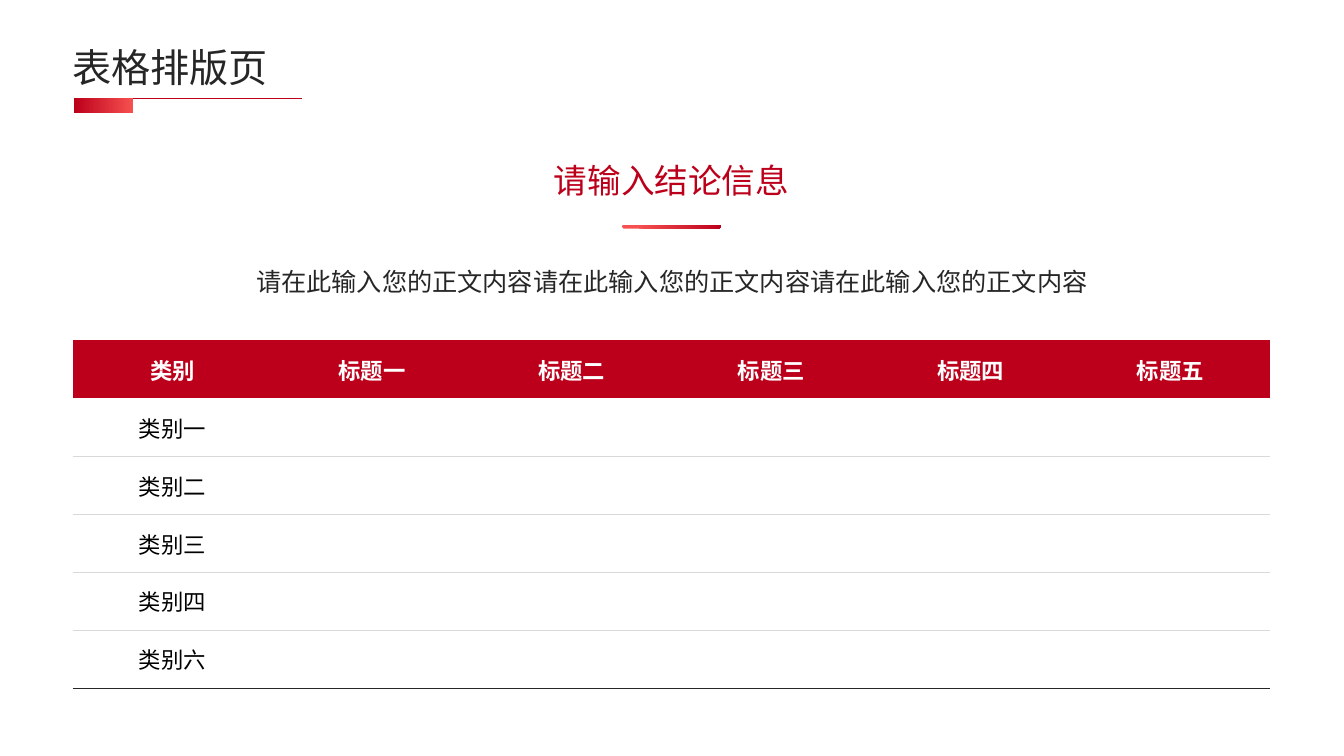
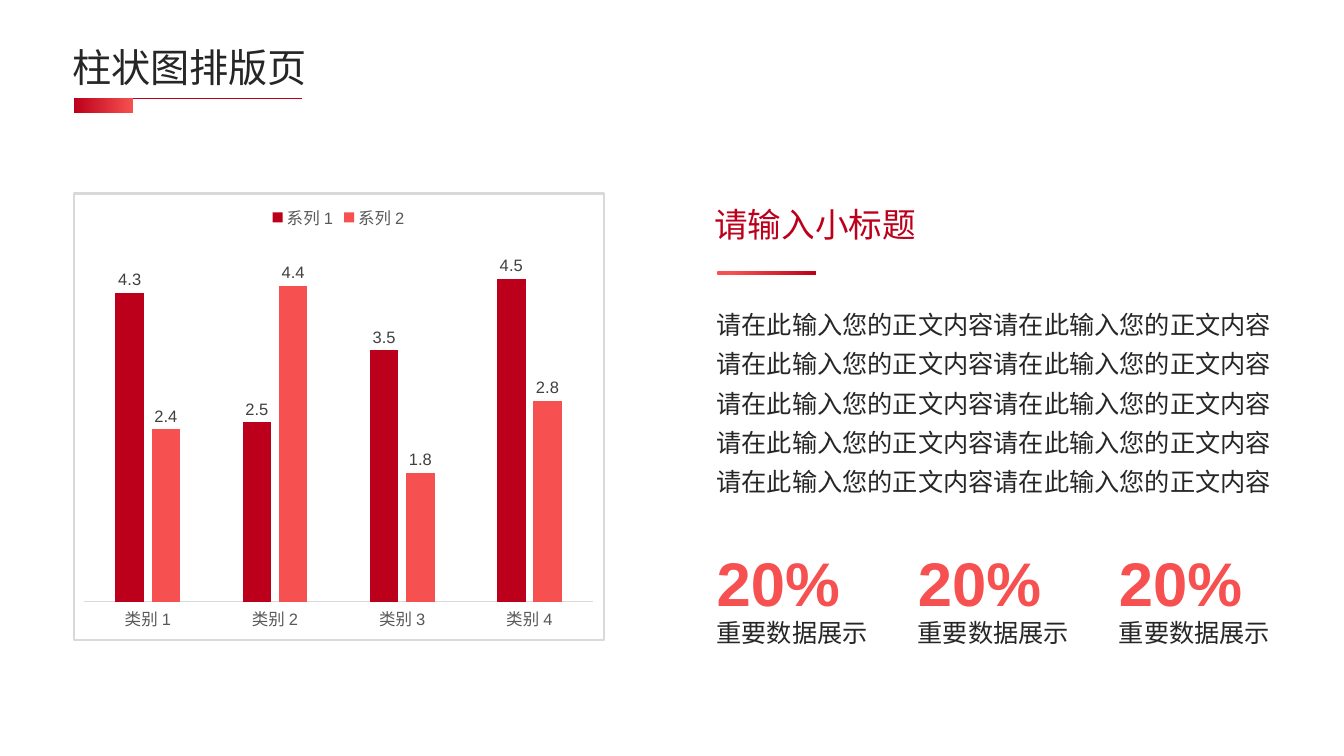
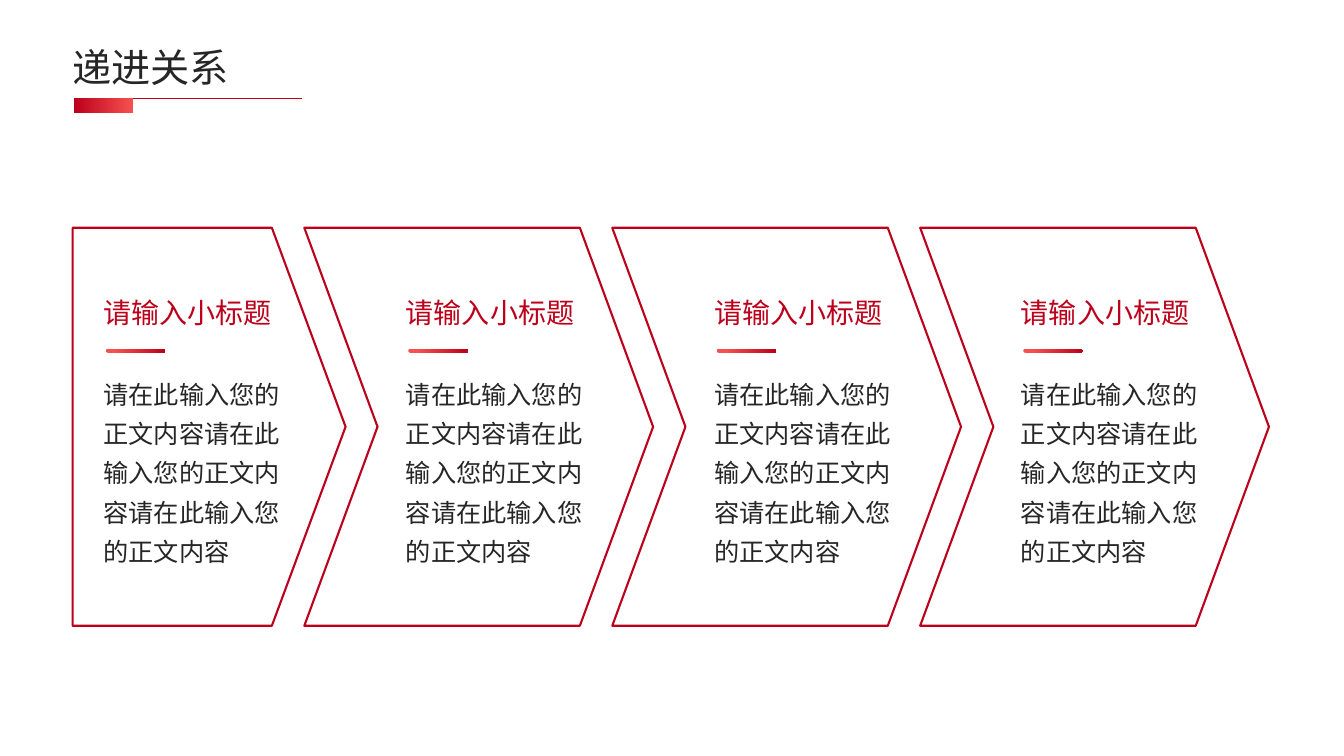
"""Builds three slides: a table, a column chart and a chain of steps."""
from lxml import etree
from pptx import Presentation
from pptx import util as u
from pptx.chart import data as chart_data
from pptx.dml import color
from pptx.enum import chart as charts, shapes, text
from pptx.oxml import ns, parse_xml

CRIMSON, CORAL = "BC001B", "F65050"
INK, WHITE, BLACK = "262626", "FFFFFF", "000000"
SILVER, GREY, DARK_GREY = "D9D9D9", "595959", "404040"
LATIN, CJK = "Arial", "Noto Sans CJK SC"
LEFT = 1.83
SENTENCE = "请在此输入您的正文内容"
SUBTITLE = "请输入小标题"


def rgb(value):
    """Return a colour from its hex string."""
    return color.RGBColor.from_string(value)


def cm(*lengths):
    """Turn numbers of centimetres into lengths."""
    return [u.Cm(length) for length in lengths]


def style_font(font, size, colour, name=LATIN, bold=False):
    """Set the size, colour, typeface and weight of a font."""
    font.size, font.name, font.bold = u.Pt(size), name, bold
    font.color.rgb = rgb(colour)


def write(frame, *lines, size=18, colour=INK, name=LATIN, bold=False,
          align=text.PP_ALIGN.LEFT, spacing=1.3, anchor=text.MSO_ANCHOR.TOP):
    """Fill a text frame with one paragraph per line."""
    frame.word_wrap = True
    frame.vertical_anchor = anchor
    for number, line in enumerate(lines):
        paragraph = frame.add_paragraph() if number else frame.paragraphs[0]
        paragraph.alignment, paragraph.line_spacing = align, spacing
        run = paragraph.add_run()
        run.text = line
        style_font(run.font, size, colour, name, bold)
        east_asian = etree.SubElement(run.font._element, ns.qn("a:ea"))
        east_asian.set("typeface", CJK)


def add_text(slide, box, *lines, **style):
    """Add a text box at left, top, width, height."""
    write(slide.shapes.add_textbox(*cm(*box)).text_frame, *lines, **style)


def add_outline(slide, kind, box, adjustment):
    """Add an unfilled preset shape with a crimson outline."""
    outline = slide.shapes.add_shape(kind, *cm(*box))
    outline.shadow.inherit = False
    outline.adjustments[0] = adjustment
    outline.fill.background()
    outline.line.color.rgb = rgb(CRIMSON)
    outline.line.width = u.Pt(1.5)


def add_gradient_bar(slide, kind, box, stops):
    """Add a borderless bar shaded from left to right."""
    bar = slide.shapes.add_shape(kind, *cm(*box))
    bar.shadow.inherit = False
    bar.line.fill.background()
    bar.fill.gradient()
    bar.fill.gradient_angle = 0
    for stop, (position, colour) in zip(bar.fill.gradient_stops, stops):
        stop.position, stop.color.rgb = position, rgb(colour)
    return bar


def add_accent(slide, left, top, width):
    """Add the thin rounded rule used under headings."""
    accent = add_gradient_bar(slide, shapes.MSO_SHAPE.ROUNDED_RECTANGLE,
                              (left, top, width, 0.1), [(0.15, CORAL), (1, CRIMSON)])
    accent.adjustments[0] = 0.5


def add_titled_slide(deck, title):
    """Add a blank slide with the shared title and underline."""
    slide = deck.slides.add_slide(deck.slide_layouts[6])
    underline = slide.shapes.add_connector(
        shapes.MSO_CONNECTOR.STRAIGHT, *cm(1.9, 2.47, 7.62, 2.47))
    underline.line.color.rgb = rgb(CRIMSON)
    underline.line.width = u.Pt(0.5)
    etree.SubElement(underline._element.spPr, ns.qn("a:effectLst"))
    add_gradient_bar(slide, shapes.MSO_SHAPE.RECTANGLE, (1.86, 2.47, 1.5, 0.38),
                     [(0, CRIMSON), (1, CORAL)])
    add_text(slide, (1.57, 0.89, 22.58, 1.75), title, size=28, name=CJK,
             spacing=0.9, anchor=text.MSO_ANCHOR.MIDDLE)
    return slide


def set_bottom_border(cell, colour):
    """Draw a one point line under a table cell."""
    cell._tc.get_or_add_tcPr().insert(0, parse_xml(
        f'<a:lnB {ns.nsdecls("a")} w="12700"><a:solidFill>'
        f'<a:srgbClr val="{colour}"/></a:solidFill></a:lnB>'))


def add_category_table(slide, headings, categories):
    """Add the table with a crimson header and ruled rows."""
    rows, columns = len(categories) + 1, len(headings)
    table = slide.shapes.add_table(
        rows, columns, *cm(LEFT, 8.58, 5.03 * columns, 1.46 * rows)).table
    table.first_row = table.horz_banding = False
    style_id = table._tbl.tblPr.find(ns.qn("a:tableStyleId"))
    style_id.text = "{2D5ABB26-0587-4C30-8999-92F81FD0307C}"
    contents = [headings] + [[category] for category in categories]
    for row, words in enumerate(contents):
        for column in range(columns):
            cell = table.cell(row, column)
            cell.vertical_anchor = text.MSO_ANCHOR.MIDDLE
            if row:
                cell.fill.background()
                set_bottom_border(cell, INK if row == rows - 1 else SILVER)
            else:
                cell.fill.solid()
                cell.fill.fore_color.rgb = rgb(CRIMSON)
            if column < len(words):
                write(cell.text_frame, words[column], size=16, bold=row == 0,
                      colour=BLACK if row else WHITE, spacing=1,
                      align=text.PP_ALIGN.CENTER, anchor=text.MSO_ANCHOR.MIDDLE)


def add_column_chart(slide, categories, series_values):
    """Add the clustered column chart with labels and a frame."""
    figures = chart_data.CategoryChartData()
    figures.categories = categories
    for name, values in series_values.items():
        figures.add_series(name, values)
    chart = slide.shapes.add_chart(charts.XL_CHART_TYPE.COLUMN_CLUSTERED,
                                   *cm(LEFT, 4.85, 13.41, 11.3), figures).chart
    style_font(chart.font, 10, BLACK)
    chart.has_title = False
    chart.has_legend = True
    chart.legend.position = charts.XL_LEGEND_POSITION.TOP
    chart.legend.include_in_layout = False
    style_font(chart.legend.font, 11.9, GREY)

    plot = chart.plots[0]
    plot.gap_width, plot.overlap, plot.vary_by_categories = 219, -27, False
    for series, colour in zip(plot.series, (CRIMSON, CORAL)):
        series.format.fill.solid()
        series.format.fill.fore_color.rgb = rgb(colour)
        labels = series.data_labels
        labels.show_value = True
        labels.position = charts.XL_LABEL_POSITION.OUTSIDE_END
        style_font(labels.font, 11.9, DARK_GREY)

    category_axis, value_axis = chart.category_axis, chart.value_axis
    category_axis.major_tick_mark = charts.XL_TICK_MARK.NONE
    category_axis.format.line.color.rgb = rgb(SILVER)
    category_axis.format.line.width = u.Pt(0.75)
    style_font(category_axis.tick_labels.font, 11.9, GREY)
    value_axis.visible = value_axis.has_major_gridlines = False
    value_axis.minimum_scale, value_axis.maximum_scale = 0, 5

    chart._chartSpace.find(ns.qn("c:txPr")).addprevious(parse_xml(
        f'<c:spPr {ns.nsdecls("c", "a")}><a:noFill/><a:ln w="19050"><a:solidFill>'
        f'<a:srgbClr val="{SILVER}"/></a:solidFill></a:ln></c:spPr>'))


def build_table_slide(deck):
    """Build the slide with a conclusion above a table."""
    slide = add_titled_slide(deck, "表格排版页")
    add_category_table(slide, ["类别"] + [f"标题{n}" for n in "一二三四五"],
                       [f"类别{n}" for n in "一二三四六"])
    add_text(slide, (6.07, 6.35, 21.72, 1.17), SENTENCE * 3,
             align=text.PP_ALIGN.CENTER)
    add_text(slide, (12.95, 3.61, 7.95, 1.47), "请输入结论信息", size=24,
             colour=CRIMSON, name=CJK, align=text.PP_ALIGN.CENTER)
    add_accent(slide, 15.68, 5.66, 2.5)


def build_chart_slide(deck):
    """Build the slide with a chart beside text and key figures."""
    slide = add_titled_slide(deck, "柱状图排版页")
    add_column_chart(slide, [f"类别 {n}" for n in range(1, 5)],
                     {"系列 1": (4.3, 2.5, 3.5, 4.5), "系列 2": (2.4, 4.4, 1.8, 2.8)})
    add_text(slide, (17.81, 7.44, 14.54, 5.16), *[SENTENCE * 2] * 5)
    add_text(slide, (17.75, 4.72, 7.95, 1.47), SUBTITLE, size=24,
             colour=CRIMSON, name=CJK)
    add_accent(slide, 18.06, 6.83, 2.5)
    for number in range(3):
        left = 17.81 + 5.07 * number
        add_text(slide, (left, 13.06, 3.91, 2.46), "20%", size=44,
                 colour=CORAL, bold=True)
        add_text(slide, (left, 15.21, 4.39, 1.17), "重要数据展示")


def build_steps_slide(deck):
    """Build the slide with four steps that lead on to each other."""
    slide = add_titled_slide(deck, "递进关系")
    top, height = 5.74, 10.03
    add_outline(slide, shapes.MSO_SHAPE.PENTAGON, (LEFT, top, 6.88, height), 0.27)
    for number in range(3):
        add_outline(slide, shapes.MSO_SHAPE.CHEVRON,
                    (7.67 + 7.76 * number, top, 8.79, height), 0.21)
    for left in (2.36, 9.98, 17.75, 25.48):
        add_text(slide, (left, 9.2, 5.26, 5.16), SENTENCE * 3)
        add_text(slide, (left, 7.06, 5.21, 1.27), SUBTITLE, size=20,
                 colour=CRIMSON, name=CJK)
        add_accent(slide, left + 0.31, 8.79, 1.5)


def main():
    """Build and save the deck."""
    deck = Presentation()
    deck.slide_width, deck.slide_height = cm(33.87, 19.05)
    build_table_slide(deck)
    build_chart_slide(deck)
    build_steps_slide(deck)
    deck.save("out.pptx")


if __name__ == "__main__":
    main()
